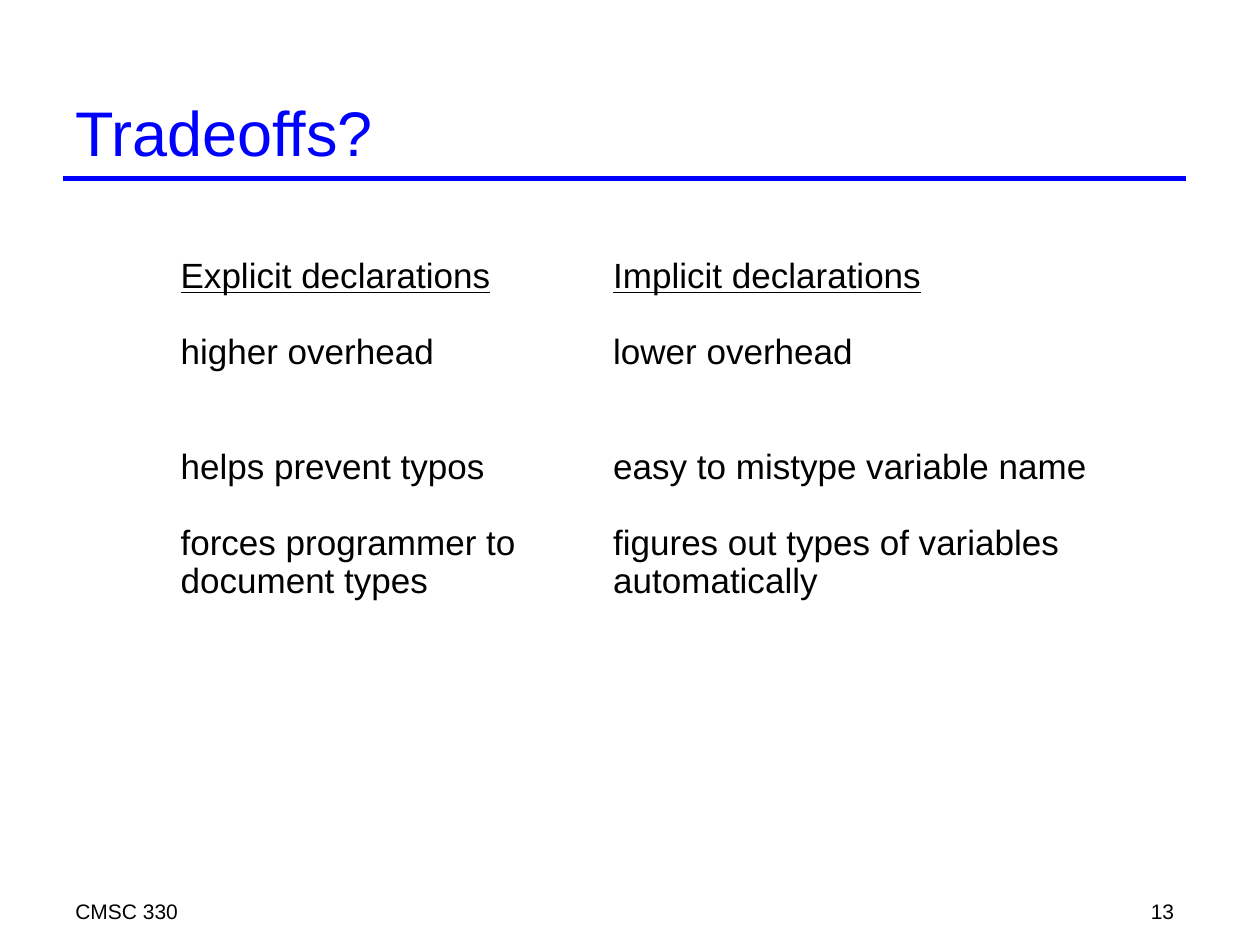
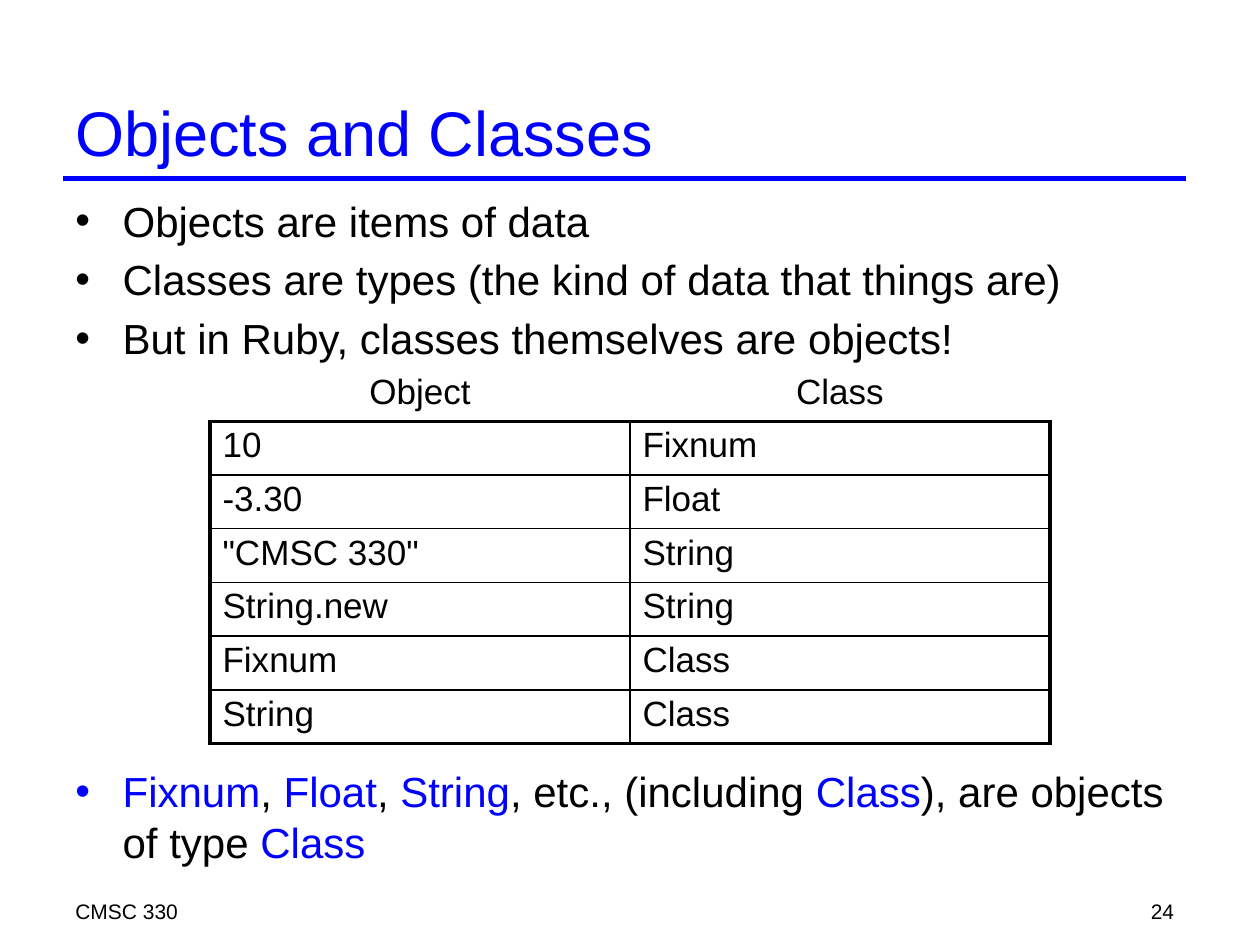
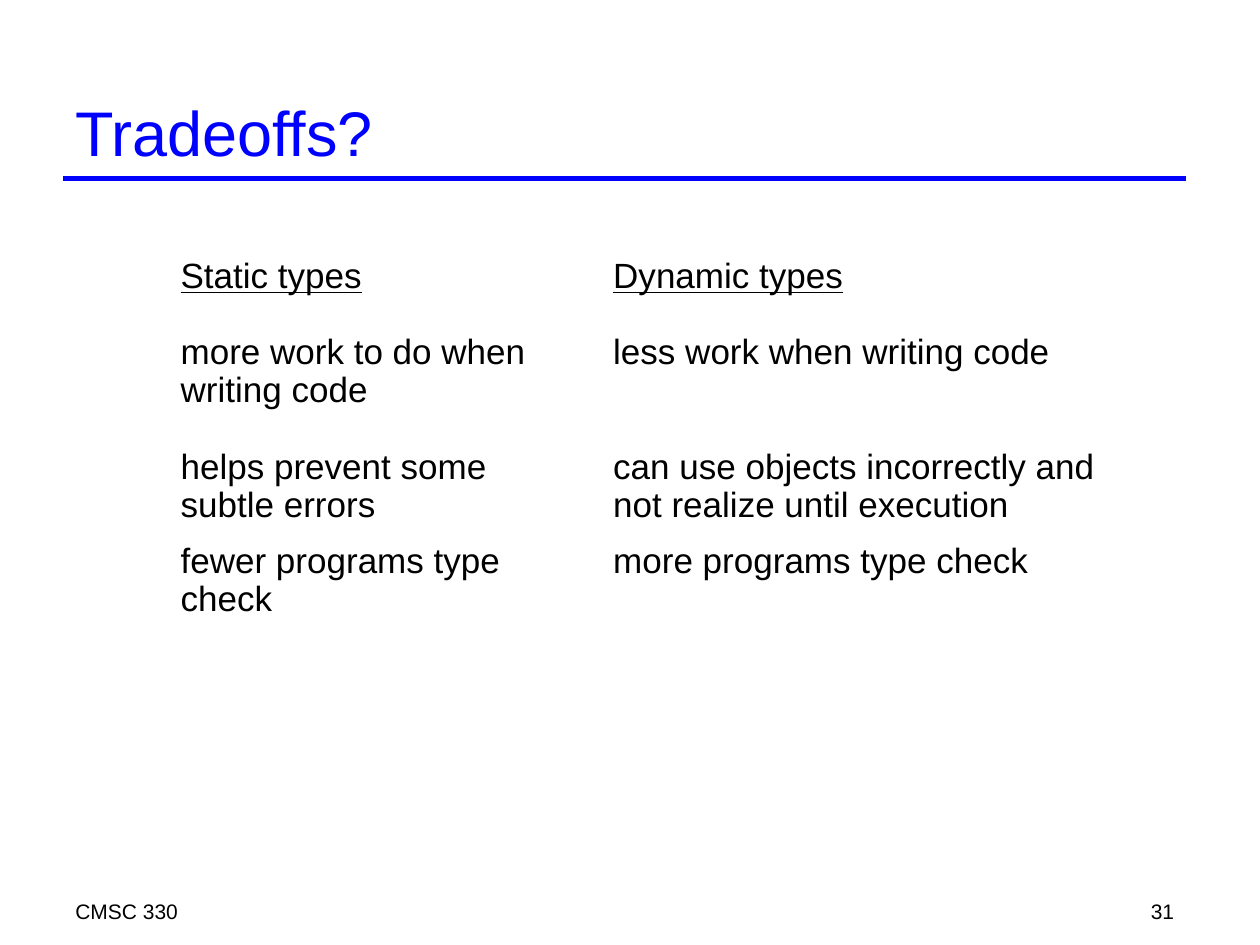
import pptx
import pptx.dml.color
import pptx.enum.shapes
import pptx.enum.text
import pptx.oxml.ns
import pptx.util
from lxml import etree

BLUE = pptx.dml.color.RGBColor(0x00, 0x00, 0xFF)
BLACK = pptx.dml.color.RGBColor(0x00, 0x00, 0x00)
FONT = "Arial"
TITLE_SIZE, BODY_SIZE, TABLE_SIZE, FOOTER_SIZE = 36, 24, 20, 12

# The slide is a grid of 120 columns by 90 rows, twelve to the inch.
CELL = pptx.util.Inches(1) // 12
LEFT, WIDTH = 6, 107
RULE_ROW, FOOTER_ROW = 17, 85
THIN, THICK = 1, 2.25
COURSE = "CMSC 330"

ALIGN = pptx.enum.text.PP_ALIGN
ANCHOR = pptx.enum.text.MSO_ANCHOR


def grid(*values):
    return [round(value * CELL) for value in values]


def add_xml(parent, tag, **attributes):
    return etree.SubElement(parent, pptx.oxml.ns.qn(tag), attributes)


class Deck:
    """Holds the presentation, its style and the slide being built."""

    def __init__(self):
        self.presentation = pptx.Presentation()
        self.presentation.slide_width, self.presentation.slide_height = grid(120, 90)
        self.slide = None

    def new_slide(self, title, number):
        self.slide = self.presentation.slides.add_slide(self.presentation.slide_layouts[6])
        self.rule()
        self.text(COURSE, (LEFT, FOOTER_ROW, 73, 3), FOOTER_SIZE)
        self.text(str(number), (88, FOOTER_ROW, 25, 3), FOOTER_SIZE, align=ALIGN.RIGHT)
        self.text(title, (LEFT, 8, WIDTH, 9), TITLE_SIZE, BLUE, anchor=ANCHOR.MIDDLE)

    def rule(self):
        line = self.slide.shapes.add_connector(
            pptx.enum.shapes.MSO_CONNECTOR.STRAIGHT,
            *grid(LEFT, RULE_ROW, LEFT + WIDTH, RULE_ROW))
        line.line.color.rgb = BLUE
        line.line.width = pptx.util.Pt(3)
        add_xml(line._element.spPr, "a:effectLst")

    def format_runs(self, paragraph, size, color=BLACK, underline=None):
        for run in paragraph.runs:
            run.font.name = FONT
            run.font.size = pptx.util.Pt(size)
            run.font.color.rgb = color
            run.font.underline = underline

    def text_frame(self, place, anchor=ANCHOR.TOP):
        text_frame = self.slide.shapes.add_textbox(*grid(*place)).text_frame
        text_frame.word_wrap = True
        text_frame.vertical_anchor = anchor
        return text_frame

    def text(self, words, place, size, color=BLACK, align=ALIGN.LEFT, anchor=ANCHOR.TOP):
        text_frame = self.text_frame(place, anchor)
        text_frame.text = words
        paragraph = text_frame.paragraphs[0]
        paragraph.alignment = align
        self.format_runs(paragraph, size, color)

    def bullets(self, items, place):
        """Each item is (space before in points, parts); class names come in blue."""
        text_frame = self.text_frame(place)
        for index, (space, parts) in enumerate(items):
            paragraph = text_frame.paragraphs[0] if index == 0 else text_frame.add_paragraph()
            paragraph.space_before = pptx.util.Pt(space)
            for part in parts:
                paragraph.add_run().text = part
            self.format_runs(paragraph, BODY_SIZE)
            for run in paragraph.runs:
                if run.text in CLASS_NAMES:
                    run.font.color.rgb = BLUE
            properties = paragraph._p.get_or_add_pPr()
            indent = round(4.5 * CELL)
            properties.set("marL", str(indent))
            properties.set("indent", str(-indent))
            add_xml(properties, "a:buFont", typeface=FONT)
            add_xml(properties, "a:buChar", char="•")

    def table(self, rows, left, top, widths, heights):
        shape = self.slide.shapes.add_table(
            len(rows), len(widths), *grid(left, top, sum(widths), sum(heights)))
        table = shape.table
        table.first_row = table.horz_banding = False
        for column, width in zip(table.columns, grid(*widths)):
            column.width = width
        for row, height in zip(table.rows, grid(*heights)):
            row.height = height
        for row_index, row in enumerate(rows):
            for column_index, words in enumerate(row):
                cell = table.cell(row_index, column_index)
                cell.text_frame.text = words
                cell.fill.background()
                paragraph = cell.text_frame.paragraphs[0]
                paragraph.line_spacing = 0.97
                self.format_runs(paragraph, TABLE_SIZE)
        return table

    def borders(self, cell, left, right, top, bottom):
        """Set border widths in points; zero means no line."""
        properties = cell._tc.get_or_add_tcPr()
        for index, (side, width) in enumerate(zip("LRTB", (left, right, top, bottom))):
            line = add_xml(properties, f"a:ln{side}", w=str(pptx.util.Pt(width)))
            properties.insert(index, line)
            if width:
                add_xml(add_xml(line, "a:solidFill"), "a:srgbClr", val=str(BLACK))
            else:
                add_xml(line, "a:noFill")

    def comparison(self, rows):
        table = self.table(rows, 16, 24, (41.2, 48.8), (7.2, 11, 7.2, 17.6))
        for row_index in range(len(rows)):
            for cell in table.rows[row_index].cells:
                self.borders(cell, 0, 0, 0, 0)
        for cell in table.rows[0].cells:
            self.format_runs(cell.text_frame.paragraphs[0], TABLE_SIZE, underline=True)

    def framed_table(self, rows):
        """A centred heading row above a boxed two-column grid."""
        table = self.table(rows, 20, 35, (40, 40), [5.12] * len(rows))
        last = len(rows) - 1
        for row_index in range(len(rows)):
            for column_index, cell in enumerate(table.rows[row_index].cells):
                if row_index == 0:
                    cell.text_frame.paragraphs[0].alignment = ALIGN.CENTER
                    self.borders(cell, 0, 0, 0, THICK)
                else:
                    self.borders(cell,
                                 THIN if column_index else THICK,
                                 THICK if column_index else THIN,
                                 THICK if row_index == 1 else THIN,
                                 THICK if row_index == last else THIN)


CLASS_NAMES = {"Fixnum", "Float", "String", "Class"}

DECLARATIONS = [
    ("Explicit declarations", "Implicit declarations"),
    ("higher overhead", "lower overhead"),
    ("helps prevent typos", "easy to mistype variable name"),
    ("forces programmer to document types", "figures out types of variables automatically"),
]

OBJECT_CLASSES = [
    ("Object", "Class"),
    ("10", "Fixnum"),
    ("-3.30", "Float"),
    ('"CMSC 330"', "String"),
    ("String.new", "String"),
    ("Fixnum", "Class"),
    ("String", "Class"),
]

BELOW_TABLE = 230
OBJECT_NOTES = [
    (4.8, ["Objects are items of data"]),
    (4.8, ["Classes are types (the kind of data that things are)"]),
    (4.8, ["But in Ruby, classes themselves are objects!"]),
    (BELOW_TABLE, ["Fixnum", ", ", "Float", ", ", "String", ", etc., (including ",
                   "Class", "), are objects of type ", "Class"]),
]

TYPING = [
    ("Static types", "Dynamic types"),
    ("more work to do when writing code", "less work when writing code"),
    ("helps prevent some subtle errors",
     "can use objects incorrectly and not realize until execution"),
    ("fewer programs type check", "more programs type check"),
]


def main():
    deck = Deck()

    deck.new_slide("Tradeoffs?", 13)
    deck.comparison(DECLARATIONS)

    deck.new_slide("Objects and Classes", 24)
    deck.bullets(OBJECT_NOTES, (LEFT, 18, WIDTH, 67))
    deck.framed_table(OBJECT_CLASSES)

    deck.new_slide("Tradeoffs?", 31)
    deck.comparison(TYPING)

    deck.presentation.save("out.pptx")


if __name__ == "__main__":
    main()
